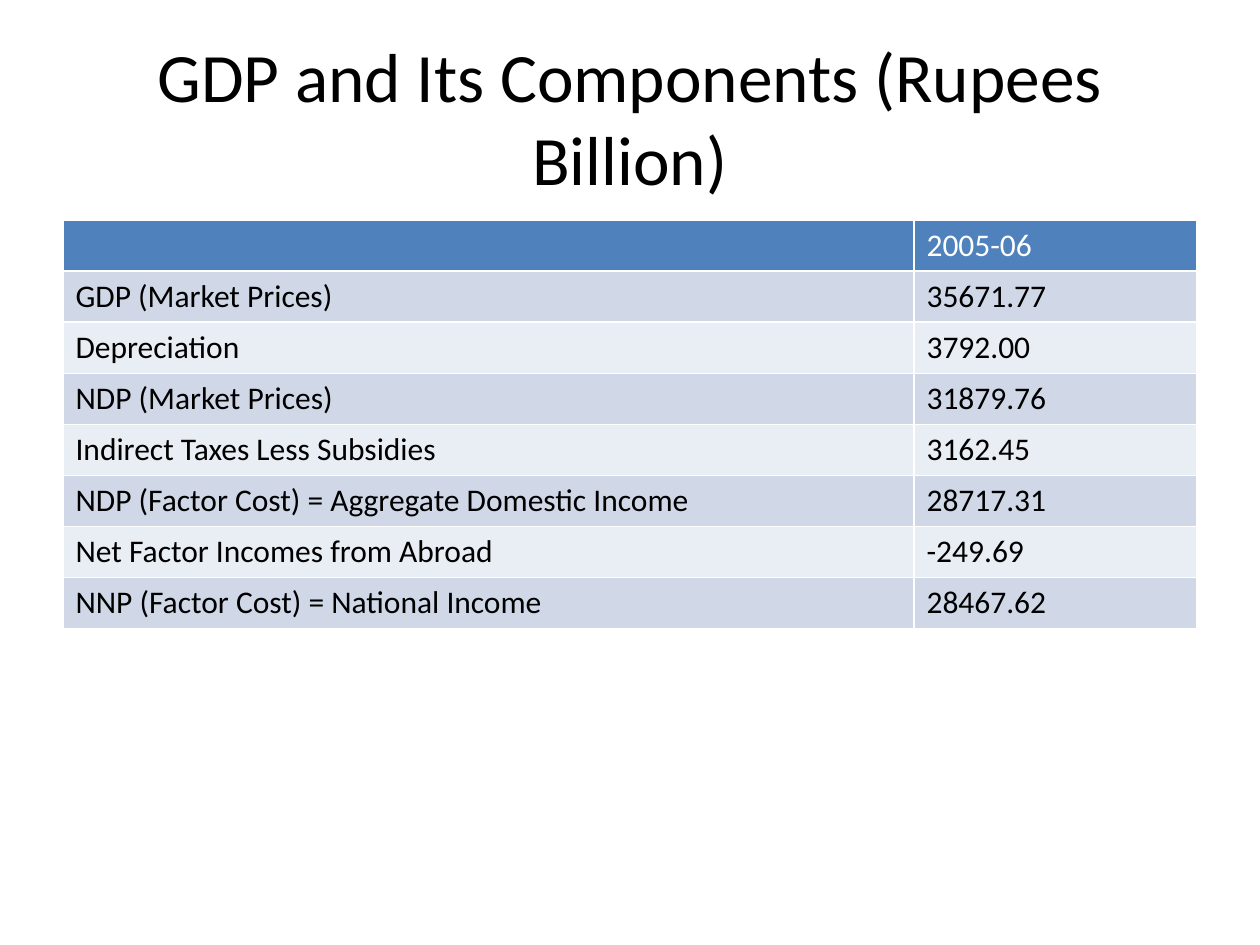
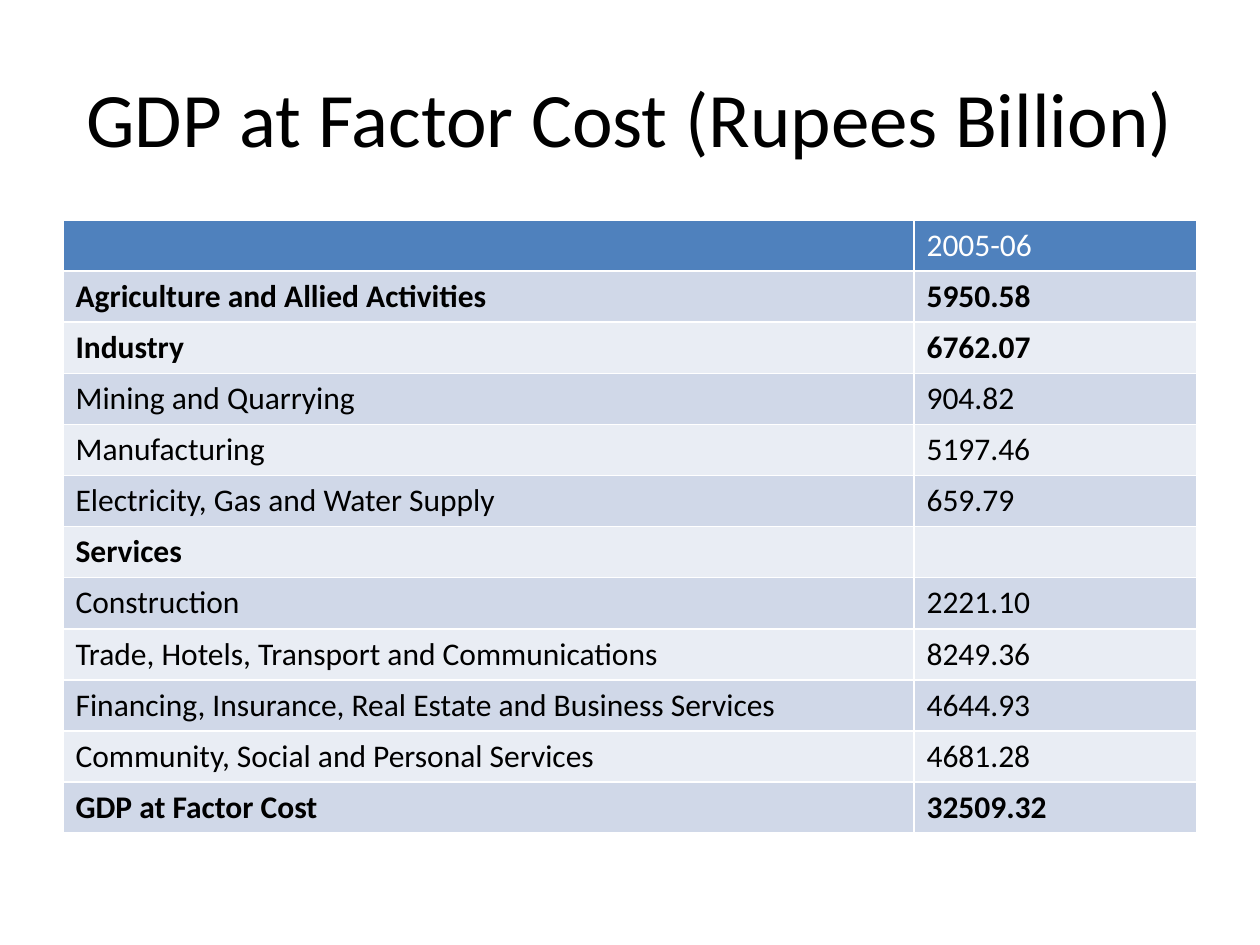
"""Build two slides of GDP tables in rupees billion."""
from pptx import Presentation
from pptx.dml.color import RGBColor
from pptx.enum.text import MSO_ANCHOR, MSO_AUTO_SIZE, PP_ALIGN
from pptx.util import Pt

PX = 914400 / 126
FONT = "Calibri"
COLORS = {"text": "000000", "header": "4F81BD", "header_text": "FFFFFF",
          "odd": "D0D8E8", "even": "E9EDF4"}
LEFT, COL_WIDTHS, ROW_HEIGHT = 63, (851, 283), 51
TITLE_BOX = (LEFT, 38, sum(COL_WIDTHS), 157)
TABLE_TOP = 220
YEAR = "2005-06"

COMPONENTS = [
    ("GDP (Market Prices)", "35671.77"),
    ("Depreciation", "3792.00"),
    ("NDP (Market Prices)", "31879.76"),
    ("Indirect Taxes Less Subsidies", "3162.45"),
    ("NDP (Factor Cost) = Aggregate Domestic Income", "28717.31"),
    ("Net Factor Incomes from Abroad", "-249.69"),
    ("NNP (Factor Cost) = National Income", "28467.62"),
]
SECTORS = [
    ("Agriculture and Allied Activities", "5950.58"),
    ("Industry", "6762.07"),
    ("Mining and Quarrying", "904.82"),
    ("Manufacturing", "5197.46"),
    ("Electricity, Gas and Water Supply", "659.79"),
    ("Services", ""),
    ("Construction", "2221.10"),
    ("Trade, Hotels, Transport and Communications", "8249.36"),
    ("Financing, Insurance, Real Estate and Business Services", "4644.93"),
    ("Community, Social and Personal Services", "4681.28"),
    ("GDP at Factor Cost", "32509.32"),
]
MAIN_SECTORS = {"Agriculture and Allied Activities", "Industry", "Services",
                "GDP at Factor Cost"}


def px(n):
    """Turn pixels into EMU."""
    return round(n * PX)


def set_font(p, size, color, bold=False):
    """Format all text of a paragraph."""
    font = p.font
    font.name, font.size, font.bold = FONT, Pt(size), bold
    font.color.rgb = RGBColor.from_string(COLORS[color])


def add_titled_slide(prs, title, size):
    """Add a title-only slide and format its title."""
    s = prs.slides.add_slide(prs.slide_layouts[5])
    sp = s.shapes.title
    sp.left, sp.top, sp.width, sp.height = map(px, TITLE_BOX)
    tf = sp.text_frame
    tf.text = title
    tf.word_wrap, tf.auto_size = True, MSO_AUTO_SIZE.NONE
    tf.vertical_anchor = MSO_ANCHOR.MIDDLE
    p = tf.paragraphs[0]
    p.alignment = PP_ALIGN.CENTER
    set_font(p, size, "text")
    return s


def fill_cell(cell, text, fill, color, bold):
    """Write and colour one table cell."""
    cell.fill.solid()
    cell.fill.fore_color.rgb = RGBColor.from_string(COLORS[fill])
    cell.text = text
    set_font(cell.text_frame.paragraphs[0], 18, color, bold)


def add_accounts_table(s, accounts, bold_labels=()):
    """Add a banded table of accounts under a year header."""
    rows = [("", YEAR), *accounts]
    table = s.shapes.add_table(
        len(rows), len(COL_WIDTHS), px(LEFT), px(TABLE_TOP),
        px(sum(COL_WIDTHS)), px(ROW_HEIGHT * len(rows))).table
    for column, width in zip(table.columns, COL_WIDTHS):
        column.width = px(width)
    for i, row in enumerate(rows):
        fill = "header" if i == 0 else "odd" if i % 2 else "even"
        color = "header_text" if i == 0 else "text"
        for j, text in enumerate(row):
            fill_cell(table.cell(i, j), text, fill, color, row[0] in bold_labels)


def main():
    """Build and save the presentation."""
    prs = Presentation()
    prs.slide_width, prs.slide_height = px(1260), px(945)
    s = add_titled_slide(prs, "GDP and Its Components (Rupees Billion)", 39.6)
    add_accounts_table(s, COMPONENTS)
    s = add_titled_slide(prs, "GDP at Factor Cost (Rupees Billion)", 44)
    add_accounts_table(s, SECTORS, MAIN_SECTORS)
    prs.save("out.pptx")


if __name__ == "__main__":
    main()
